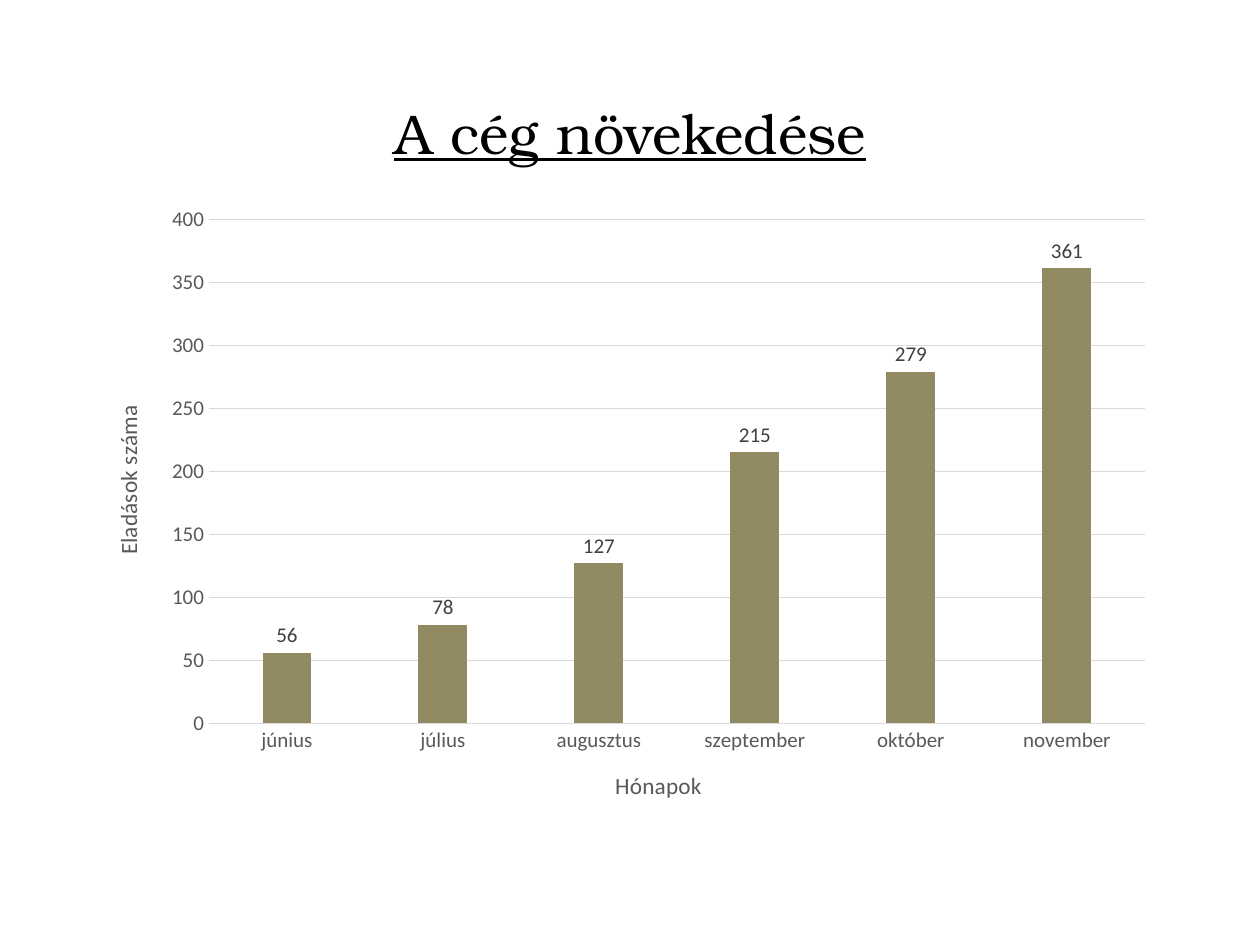
from dataclasses import dataclass

from lxml import etree
from pptx import Presentation
from pptx.chart.data import CategoryChartData
from pptx.dml.color import RGBColor
from pptx.enum.chart import XL_CHART_TYPE, XL_LABEL_POSITION, XL_TICK_MARK
from pptx.enum.text import MSO_ANCHOR, PP_ALIGN
from pptx.oxml.ns import qn
from pptx.util import Inches, Pt

COLUMNS = XL_CHART_TYPE.COLUMN_CLUSTERED
OUTSIDE_END = XL_LABEL_POSITION.OUTSIDE_END
NO_TICK = XL_TICK_MARK.NONE
CENTER = PP_ALIGN.CENTER
MIDDLE = MSO_ANCHOR.MIDDLE

WIDTH, HEIGHT = Inches(10), Inches(7.5)
COLORS = {"heading": "000000", "axis": "595959", "rule": "D9D9D9",
          "bar": "928A63", "value": "404040"}
HEADING_FONT, CHART_FONT = "TeX Gyre Bonum", "Calibri"
SALES = {"június": 56, "július": 78, "augusztus": 127,
         "szeptember": 215, "október": 279, "november": 361}


@dataclass(frozen=True)
class Area:
    """Left, top, width and height as shares of the enclosing area."""
    x: float
    y: float
    w: float
    h: float

    def on_slide(self) -> tuple[int, int, int, int]:
        return (int(self.x * WIDTH), int(self.y * HEIGHT),
                int(self.w * WIDTH), int(self.h * HEIGHT))


HEADING_AREA = Area(0.076, 0.097, 0.848, 0.085)
CHART_AREA = Area(0.076, 0.204, 0.848, 0.656)
PLOT_AREA = Area(0.106, 0.043, 0.876, 0.813)


def rgb(name: str) -> RGBColor:
    return RGBColor.from_string(COLORS[name])


def style_font(font, size: float, color: str, face: str = CHART_FONT) -> None:
    font.name, font.size, font.bold = face, Pt(size), False
    font.color.rgb = rgb(color)


def style_rule(line) -> None:
    line.color.rgb = rgb("rule")
    line.width = Pt(0.75)


def style_axis(axis, title: str) -> None:
    axis.major_tick_mark = axis.minor_tick_mark = NO_TICK
    style_font(axis.tick_labels.font, 12, "axis")
    caption = axis.axis_title.text_frame
    caption.text = title
    style_font(caption.paragraphs[0].font, 13.3, "axis")


def place_plot(chart, area: Area) -> None:
    """Fix the inner plot area as shares of the chart."""
    plot_area = chart.plots[0]._element.getparent()
    layout = plot_area.find(qn("c:layout"))
    if layout is None:
        layout = etree.Element(qn("c:layout"))
        plot_area.insert(0, layout)
    manual = etree.SubElement(layout, qn("c:manualLayout"))
    settings = {"layoutTarget": "inner", "xMode": "edge", "yMode": "edge",
                "x": area.x, "y": area.y, "w": area.w, "h": area.h}
    for tag, value in settings.items():
        etree.SubElement(manual, qn(f"c:{tag}")).set("val", str(value))


def add_heading(slide, text: str) -> None:
    frame = slide.shapes.add_textbox(*HEADING_AREA.on_slide()).text_frame
    frame.word_wrap = True
    frame.vertical_anchor = MIDDLE
    heading = frame.paragraphs[0]
    heading.text = text
    heading.alignment = CENTER
    style_font(heading.font, 32, "heading", HEADING_FONT)
    heading.font.underline = True


def add_sales_chart(slide) -> None:
    data = CategoryChartData()
    data.categories = list(SALES)
    data.add_series("Series 1", list(SALES.values()))
    chart = slide.shapes.add_chart(COLUMNS, *CHART_AREA.on_slide(), data).chart
    chart.has_title = chart.has_legend = False
    style_font(chart.font, 10, "heading")
    place_plot(chart, PLOT_AREA)

    # Axes
    months, sold = chart.category_axis, chart.value_axis
    style_axis(months, "Hónapok")
    style_axis(sold, "Eladások száma")
    style_rule(months.format.line)
    style_rule(sold.major_gridlines.format.line)
    sold.format.line.fill.background()
    sold.minimum_scale, sold.maximum_scale, sold.major_unit = 0, 400, 50

    # Bars and their values
    bars = chart.plots[0]
    bars.gap_width = 219
    bars.vary_by_categories = False
    sales = bars.series[0]
    sales.format.fill.solid()
    sales.format.fill.fore_color.rgb = rgb("bar")
    labels = sales.data_labels
    labels.show_value = True
    labels.position = OUTSIDE_END
    style_font(labels.font, 12, "value")


def main() -> None:
    deck = Presentation()
    deck.slide_width, deck.slide_height = WIDTH, HEIGHT
    slide = deck.slides.add_slide(deck.slide_layouts[6])
    add_heading(slide, "A cég növekedése")
    add_sales_chart(slide)
    deck.save("out.pptx")


if __name__ == "__main__":
    main()
